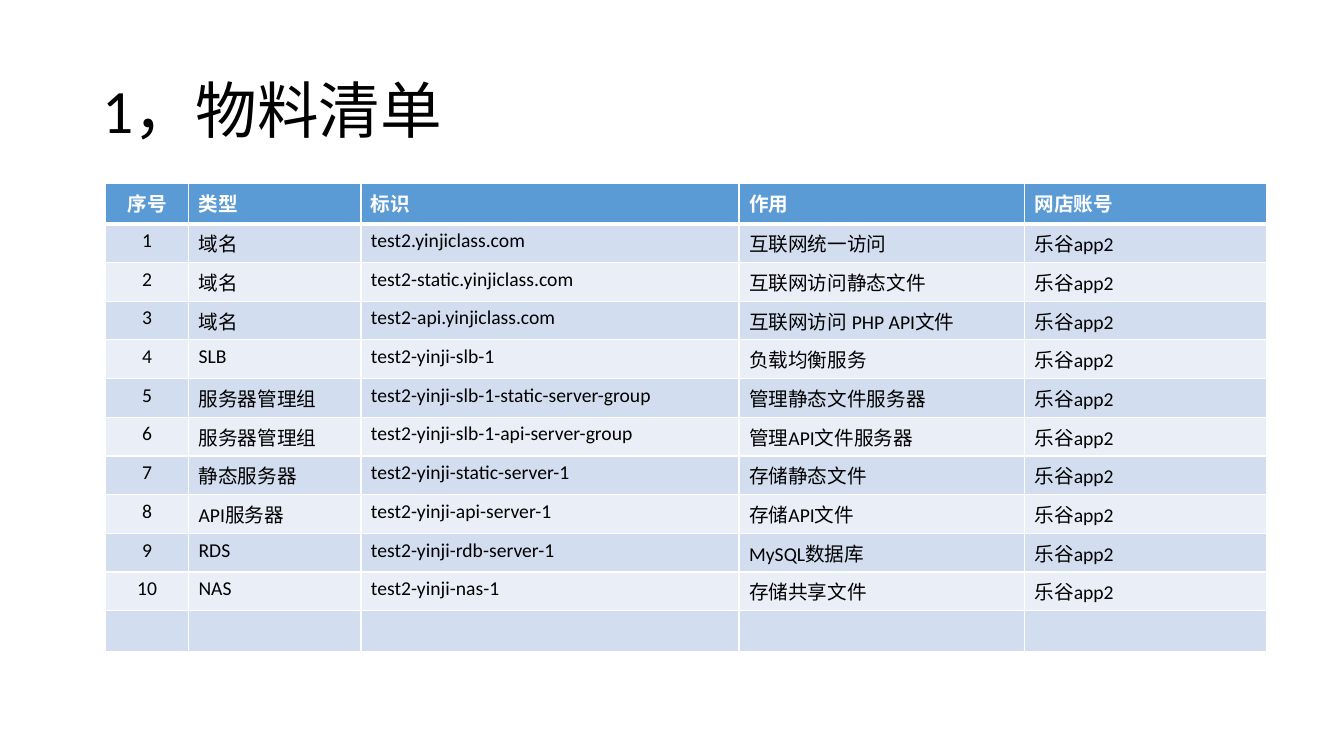
from dataclasses import dataclass

from lxml.etree import SubElement
from pptx import Presentation
from pptx.dml.color import RGBColor
from pptx.enum.text import MSO_ANCHOR, PP_ALIGN
from pptx.oxml.ns import qn
from pptx.util import Inches, Pt


@dataclass(frozen=True)
class Theme:
    """Colours, font and type sizes of the slide."""
    font: str = "Calibri"
    title_size: int = 44
    table_size: int = 14
    text: str = "000000"
    white: str = "FFFFFF"
    header: str = "5B9BD5"
    bands: tuple = ("D2DEEF", "EAEFF7")
    border: float = 1
    header_border: float = 3


THEME = Theme()
HEADINGS = ("序号", "类型", "标识", "作用", "网店账号")
ACCOUNT = "乐谷app2"
MATERIALS = (
    ("域名", "test2.yinjiclass.com", "互联网统一访问"),
    ("域名", "test2-static.yinjiclass.com", "互联网访问静态文件"),
    ("域名", "test2-api.yinjiclass.com", "互联网访问 PHP API文件"),
    ("SLB", "test2-yinji-slb-1", "负载均衡服务"),
    ("服务器管理组", "test2-yinji-slb-1-static-server-group", "管理静态文件服务器"),
    ("服务器管理组", "test2-yinji-slb-1-api-server-group", "管理API文件服务器"),
    ("静态服务器", "test2-yinji-static-server-1", "存储静态文件"),
    ("API服务器", "test2-yinji-api-server-1", "存储API文件"),
    ("RDS", "test2-yinji-rdb-server-1", "MySQL数据库"),
    ("NAS", "test2-yinji-nas-1", "存储共享文件"),
)
COLUMN_WIDTHS = (0.82, 1.71, 3.75, 2.83, 2.4)
HEADER_HEIGHT = 0.4
LAST_HEIGHT = 0.41


def write_text(frame, text, size, color=THEME.text, bold=False,
               align=PP_ALIGN.LEFT, line_spacing=None):
    """Write one formatted paragraph into a text frame."""
    paragraph = frame.paragraphs[0]
    paragraph.alignment = align
    paragraph.line_spacing = line_spacing
    run = paragraph.add_run()
    run.text = text
    run.font.name = THEME.font
    run.font.size = Pt(size)
    run.font.bold = bold
    run.font.color.rgb = RGBColor.from_string(color)


def add_border(cell, side, width):
    """Draw a white border on one side of a cell."""
    properties = cell._tc.get_or_add_tcPr()
    line = SubElement(properties, qn(f"a:ln{side}"), w=str(Pt(width)))
    fill = SubElement(line, qn("a:solidFill"))
    SubElement(fill, qn("a:srgbClr"), val=THEME.white)


def style_cell(cell, fill, is_header):
    """Give a cell its borders and fill."""
    for side in "LRT" if is_header else "LR":
        add_border(cell, side, THEME.border)
    add_border(cell, "B", THEME.header_border if is_header else THEME.border)
    cell.fill.solid()
    cell.fill.fore_color.rgb = RGBColor.from_string(fill)


def add_title(slide, text, left, top, width, height):
    """Place the slide title in its box."""
    frame = slide.shapes.add_textbox(
        Inches(left), Inches(top), Inches(width), Inches(height)).text_frame
    frame.word_wrap = True
    frame.vertical_anchor = MSO_ANCHOR.MIDDLE
    write_text(frame, text, THEME.title_size, line_spacing=0.9)


def add_material_table(slide, left, top, width, height):
    """Place the numbered list of materials with an empty last row."""
    rows = [HEADINGS]
    rows += [(str(number), *material, ACCOUNT)
             for number, material in enumerate(MATERIALS, 1)]
    rows.append(("",) * len(HEADINGS))
    table = slide.shapes.add_table(
        len(rows), len(HEADINGS), Inches(left), Inches(top),
        Inches(width), Inches(height)).table
    table.first_row = table.horz_banding = False
    for column, column_width in zip(table.columns, COLUMN_WIDTHS):
        column.width = Inches(column_width)
    body_height = (height - HEADER_HEIGHT - LAST_HEIGHT) / len(MATERIALS)
    row_heights = (HEADER_HEIGHT, *[body_height] * len(MATERIALS), LAST_HEIGHT)
    for row_index, row in enumerate(rows):
        is_header = row_index == 0
        table.rows[row_index].height = Inches(row_heights[row_index])
        fill = THEME.header if is_header else THEME.bands[(row_index - 1) % 2]
        for column_index, text in enumerate(row):
            cell = table.cell(row_index, column_index)
            style_cell(cell, fill, is_header)
            if text:
                write_text(
                    cell.text_frame, text, THEME.table_size,
                    color=THEME.white if is_header else THEME.text,
                    bold=is_header,
                    align=PP_ALIGN.LEFT if column_index else PP_ALIGN.CENTER)


def main():
    """Build and save the presentation."""
    presentation = Presentation()
    presentation.slide_width = Inches(13.33)
    presentation.slide_height = Inches(7.5)
    slide = presentation.slides.add_slide(presentation.slide_layouts[6])
    add_title(slide, "1，物料清单", 0.92, 0.4, 11.5, 1.45)
    add_material_table(slide, 1.05, 1.82, sum(COLUMN_WIDTHS), 4.65)
    presentation.save("out.pptx")


if __name__ == "__main__":
    main()
